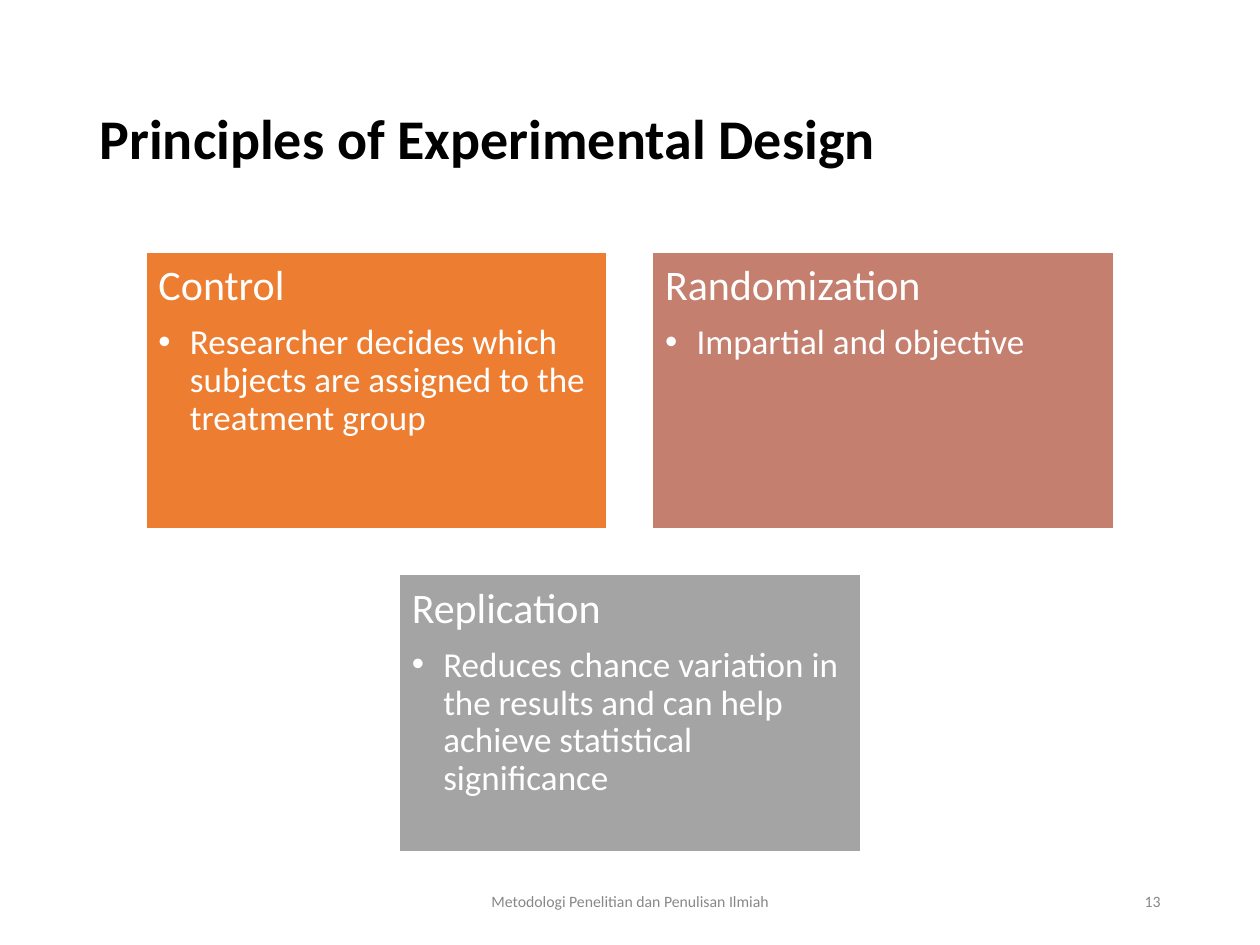
from dataclasses import dataclass

from lxml import etree
from pptx import Presentation
from pptx.dml.color import RGBColor
from pptx.enum.shapes import MSO_SHAPE
from pptx.enum.text import MSO_ANCHOR, MSO_AUTO_SIZE, PP_ALIGN
from pptx.oxml.ns import qn
from pptx.util import Inches, Pt

RECTANGLE = MSO_SHAPE.RECTANGLE
TOP, MIDDLE = MSO_ANCHOR.TOP, MSO_ANCHOR.MIDDLE
LEFT, CENTER, RIGHT = PP_ALIGN.LEFT, PP_ALIGN.CENTER, PP_ALIGN.RIGHT
NO_AUTOFIT = MSO_AUTO_SIZE.NONE
TITLE_ONLY = 5


@dataclass(frozen=True)
class Theme:
    font: str = "Calibri"
    title_color: str = "000000"
    card_text: str = "FFFFFF"
    card_line: str = "FFFFFF"
    control: str = "ED7D31"
    randomization: str = "C47F6E"
    replication: str = "A4A4A4"
    footer_color: str = "888888"
    title_size: int = 32
    heading_size: int = 24
    bullet_size: int = 20
    footer_size: int = 9


@dataclass(frozen=True)
class Grid:
    left: float = 1.16
    top: float = 2
    width: float = 3.66
    height: float = 2.2
    gap: float = 0.36

    def cell(self, column, row):
        return (
            self.left + column * (self.width + self.gap),
            self.top + row * (self.height + self.gap),
            self.width,
            self.height,
        )


THEME = Theme()
GRID = Grid()

CARDS = (
    (0, 0, THEME.control, "Control",
     "Researcher decides which subjects are assigned to the treatment group"),
    (1, 0, THEME.randomization, "Randomization", "Impartial and objective"),
    (0.5, 1, THEME.replication, "Replication",
     "Reduces chance variation in the results and can help achieve "
     "statistical significance"),
)


def lengths(box):
    return [Inches(value) for value in box]


def set_frame(frame, anchor, vertical_inset):
    frame.word_wrap = True
    frame.auto_size = NO_AUTOFIT
    frame.vertical_anchor = anchor
    frame.margin_left = frame.margin_right = Inches(0.1)
    frame.margin_top = frame.margin_bottom = Inches(vertical_inset)


def format_paragraph(paragraph, size, color, align=LEFT, bold=False, spacing=1.0):
    paragraph.alignment = align
    paragraph.line_spacing = spacing
    for run in paragraph.runs:
        run.font.name = THEME.font
        run.font.size = Pt(size)
        run.font.bold = bold
        run.font.color.rgb = RGBColor.from_string(color)


def add_bullet(paragraph):
    paragraph.space_before = Pt(8.4)
    properties = paragraph._p.get_or_add_pPr()
    properties.set("marL", str(Inches(0.25)))
    properties.set("indent", str(-Inches(0.25)))
    etree.SubElement(properties, qn("a:buFont"), typeface="Arial")
    etree.SubElement(properties, qn("a:buChar"), char="•")


def set_title(slide, text):
    title = slide.shapes.title
    title.left, title.top, title.width, title.height = lengths((0.69, 0.4, 8.62, 1.45))
    frame = title.text_frame
    frame.text = text
    set_frame(frame, MIDDLE, 0.05)
    format_paragraph(frame.paragraphs[0], THEME.title_size, THEME.title_color,
                     bold=True, spacing=0.9)


def add_card(slide, column, row, color, heading, detail):
    card = slide.shapes.add_shape(RECTANGLE, *lengths(GRID.cell(column, row)))
    card.shadow.inherit = False
    card.fill.solid()
    card.fill.fore_color.rgb = RGBColor.from_string(color)
    card.line.color.rgb = RGBColor.from_string(THEME.card_line)
    card.line.width = Pt(1)
    frame = card.text_frame
    frame.text = f"{heading}\n{detail}"
    set_frame(frame, TOP, 0.1)
    heading_paragraph, bullet_paragraph = frame.paragraphs
    format_paragraph(heading_paragraph, THEME.heading_size, THEME.card_text, spacing=0.9)
    format_paragraph(bullet_paragraph, THEME.bullet_size, THEME.card_text, spacing=0.9)
    add_bullet(bullet_paragraph)


def add_footer(slide, left, width, text, align):
    footer = slide.shapes.add_textbox(*lengths((left, 6.95, width, 0.4)))
    frame = footer.text_frame
    frame.text = text
    set_frame(frame, MIDDLE, 0.05)
    format_paragraph(frame.paragraphs[0], THEME.footer_size, THEME.footer_color, align)


def main():
    presentation = Presentation()
    presentation.slide_width, presentation.slide_height = Inches(10), Inches(7.5)
    slide = presentation.slides.add_slide(presentation.slide_layouts[TITLE_ONLY])
    set_title(slide, "Principles of Experimental Design")
    for card in CARDS:
        add_card(slide, *card)
    add_footer(slide, 3.31, 3.38, "Metodologi Penelitian dan Penulisan Ilmiah", CENTER)
    add_footer(slide, 7.06, 2.25, "13", RIGHT)
    presentation.save("out.pptx")


if __name__ == "__main__":
    main()
